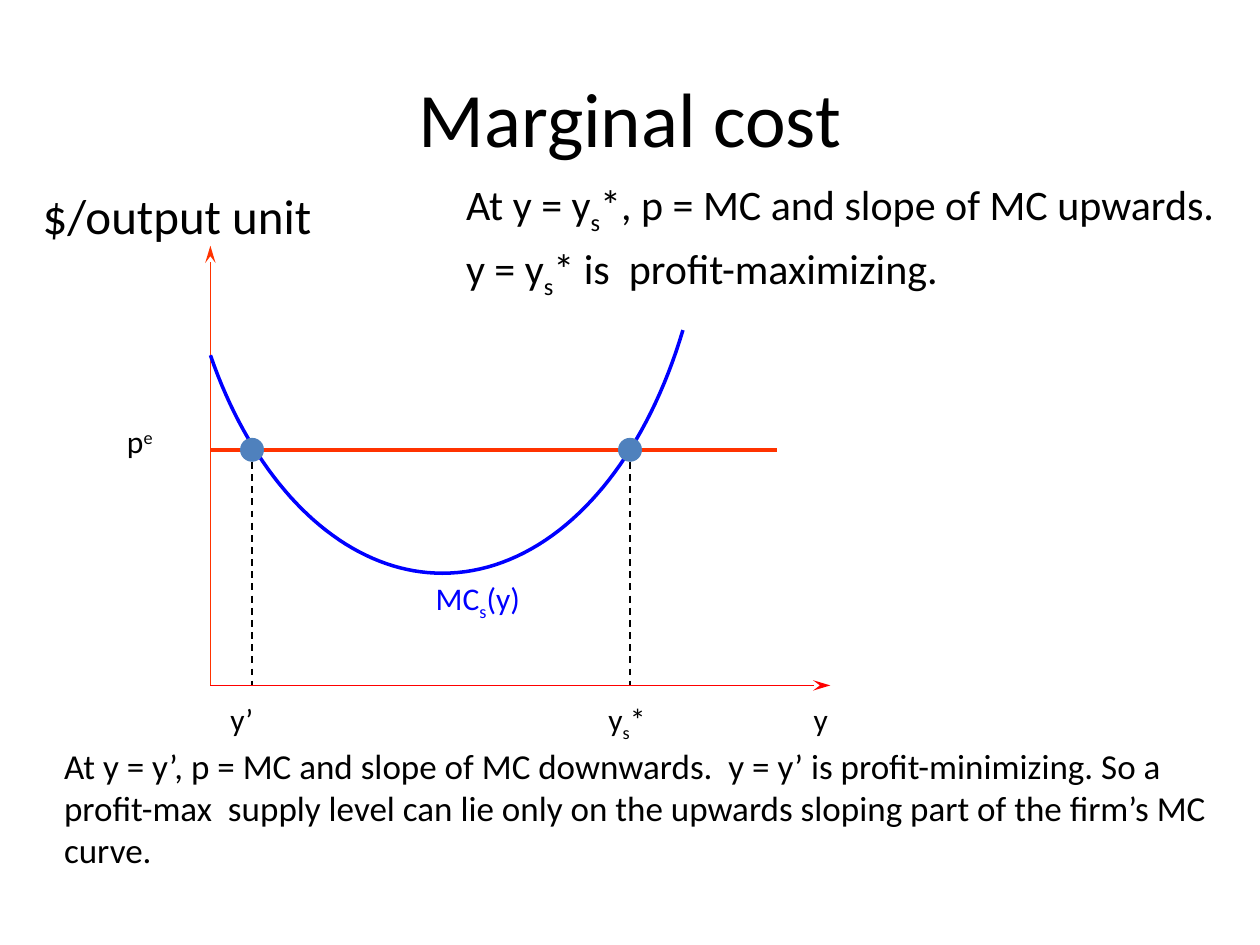
from pptx import Presentation
from pptx import util as u
from pptx.dml.color import RGBColor
from pptx.enum import dml, shapes, text
from pptx.oxml import parse_xml
from pptx.oxml.ns import nsdecls

BLACK = RGBColor(0, 0, 0)
BLUE = RGBColor(0, 0, 255)
RED = RGBColor(255, 0, 0)
ORANGE = RGBColor(255, 51, 0)
STEEL = RGBColor(0x4F, 0x81, 0xBD)

LEFT, BASE, PRICE = 1.67, 5.44, 3.57
LOW, HIGH = 2, 5
DOT = 0.19


def style(font, size, color):
    font.name = "Calibri"
    font.size = u.Pt(size)
    font.color.rgb = color


def add_title(slide, words):
    title = slide.shapes.title
    title.left, title.top = u.Inches(0.5), u.Inches(0.3)
    title.width, title.height = u.Inches(9), u.Inches(1.25)
    frame = title.text_frame
    frame.text = words
    frame.vertical_anchor = text.MSO_ANCHOR.MIDDLE
    para = frame.paragraphs[0]
    para.alignment = text.PP_ALIGN.CENTER
    style(para.runs[0].font, 44, BLACK)


def add_label(slide, box, lines, size, color=BLACK, shift=-25, wrap=False):
    shape = slide.shapes.add_textbox(*map(u.Inches, box))
    frame = shape.text_frame
    frame.word_wrap = wrap
    frame.auto_size = text.MSO_AUTO_SIZE.SHAPE_TO_FIT_TEXT
    for row, line in enumerate(lines):
        para = frame.add_paragraph() if row else frame.paragraphs[0]
        if row:
            para.space_before = u.Pt(size * 0.15)
        for part, words in enumerate(line.split("_")):
            if not words:
                continue
            run = para.add_run()
            run.text = words
            style(run.font, size, color)
            if part % 2:
                run._r.get_or_add_rPr().set("baseline", str(shift * 1000))


def add_line(slide, start, end, color, width=1, dash=False, arrow=None):
    line = slide.shapes.add_connector(
        shapes.MSO_CONNECTOR.STRAIGHT, *map(u.Inches, start + end))
    line.line.color.rgb = color
    line.line.width = u.Pt(width)
    if dash:
        line.line.dash_style = dml.MSO_LINE.DASH
    if arrow:
        line.line._get_or_add_ln().append(parse_xml(
            f'<a:{arrow} {nsdecls("a")} type="stealth" w="med" len="lg"/>'))
    line._element.spPr.append(parse_xml(f'<a:effectLst {nsdecls("a")}/>'))


def add_dot(slide, x, y):
    dot = slide.shapes.add_shape(
        shapes.MSO_SHAPE.OVAL, u.Inches(x - DOT / 2), u.Inches(y - DOT / 2),
        u.Inches(DOT), u.Inches(DOT))
    dot.shadow.inherit = False
    dot.fill.solid()
    dot.fill.fore_color.rgb = STEEL
    dot.line.fill.background()


def bend(a, b, c, d, steps=40):
    for step in range(steps + 1):
        t = step / steps
        s = 1 - t
        yield tuple(
            u.Inches(s**3 * e + 3 * s * s * t * f + 3 * s * t * t * g + t**3 * h)
            for e, f, g, h in zip(a, b, c, d))


def add_curve(slide):
    right = bend((5.42, 2.62), (5.07, 3.8), (4.33, 4.55), (3.51, 4.55))
    left = bend((3.51, 4.55), (2.75, 4.55), (2.04, 3.89), (LEFT, 2.82))
    first, *rest = [*right, *list(left)[1:]]
    pen = slide.shapes.build_freeform(*first)
    pen.add_line_segments(rest, close=False)
    curve = pen.convert_to_shape()
    curve.shadow.inherit = False
    curve.fill.background()
    curve.line.color.rgb = BLUE
    curve.line.width = u.Pt(2)


def main():
    deck = Presentation()
    deck.slide_width, deck.slide_height = u.Inches(10), u.Inches(7.5)
    slide = deck.slides.add_slide(deck.slide_layouts[5])
    add_title(slide, "Marginal cost")

    add_line(slide, (LEFT, 1.95), (LEFT, BASE), ORANGE, arrow="headEnd")
    add_line(slide, (LEFT, BASE), (6.59, BASE), RED, arrow="tailEnd")
    add_line(slide, (LEFT, PRICE), (6.17, PRICE), ORANGE, 2)
    add_curve(slide)
    for x in (LOW, HIGH):
        add_line(slide, (x, PRICE), (x, BASE), BLACK, dash=True)
        add_dot(slide, x, PRICE)

    add_label(slide, (0.24, 1.42, 2.56, 0.57), ["$/output unit"], 28)
    add_label(slide, (0.91, 3.3, 0.63, 0.63), ["p_e_"], 18, shift=30)
    for x, width, words in ((1.73, 0.57, "y’"), (4.73, 0.78, "y_s_*"),
                            (6.36, 0.45, "y")):
        add_label(slide, (x, 5.51, width, 0.63), [words], 18)
    add_label(slide, (3.36, 4.55, 1.6, 0.63), ["MC_s_(y)"], 18, BLUE)
    add_label(slide, (3.6, 1.37, 6.35, 0.91), [
        "At y = y_s_*, p = MC and slope of MC upwards.",
        "y = y_s_* is  profit-maximizing."], 24)
    add_label(slide, (0.41, 5.86, 9.59, 1.52), [
        "At y = y’, p = MC and slope of MC downwards.  y = y’ is "
        "profit-minimizing. So a profit-max  supply level can lie only on "
        "the upwards sloping part of the firm’s MC curve."], 20, wrap=True)
    deck.save("out.pptx")


if __name__ == "__main__":
    main()
